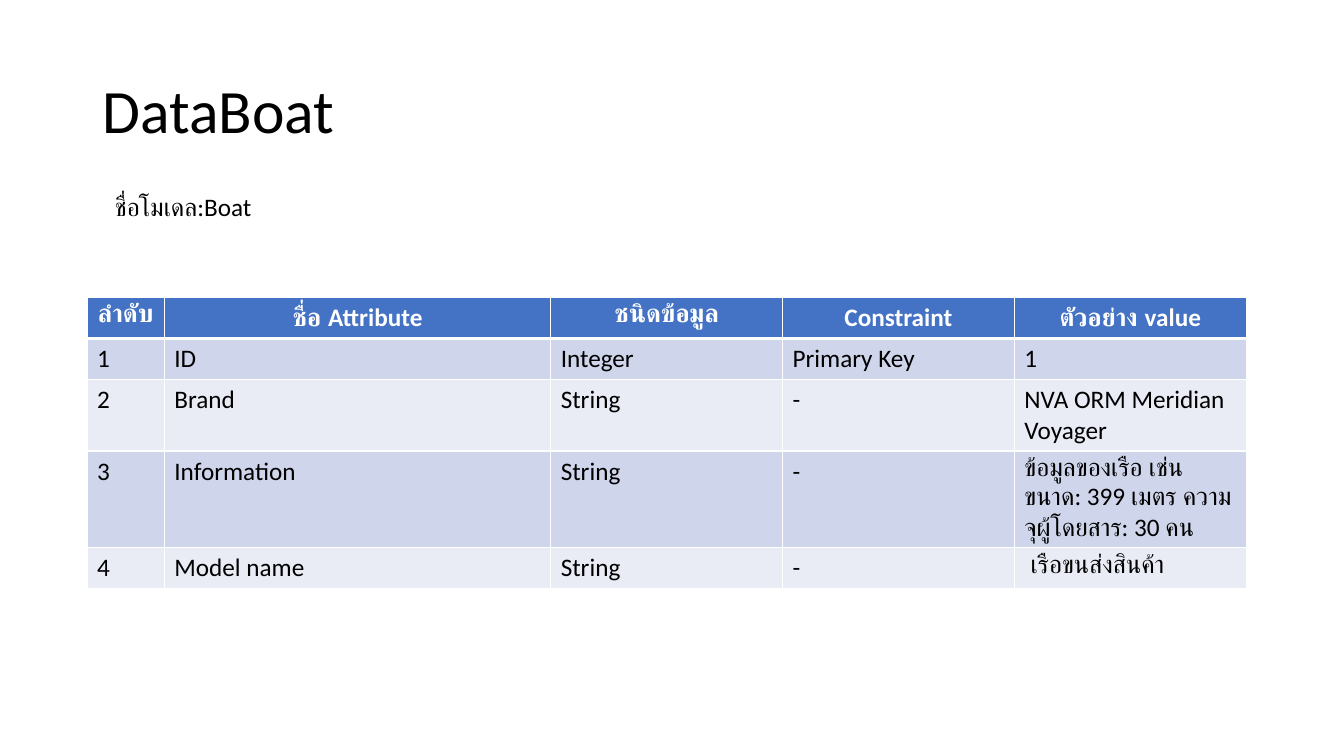
from collections import namedtuple
from lxml.etree import fromstring
from pptx import Presentation
from pptx.dml.color import RGBColor as Rgb
from pptx.enum.text import MSO_ANCHOR as Anchor, MSO_AUTO_SIZE as Auto, PP_ALIGN as Align
from pptx.util import Pt

Theme = namedtuple("Theme", "font title body ink paper head bands")
theme = Theme("Calibri", 44, 18, "000000", "FFFFFF", "4472C4", ("CFD5EA", "E9EBF5"))
SPACE = "http://schemas.openxmlformats.org/drawingml/2006/main"


def write(frame, text, size, color, bold=False, align=Align.LEFT):
    para = frame.paragraphs[0]
    para.alignment = align
    run = para.add_run()
    run.text = text
    style = {"name": theme.font, "size": Pt(size), "bold": bold}
    for key, value in style.items():
        setattr(run.font, key, value)
    run.font.color.rgb = Rgb.from_string(color)


def edge(cell, sides):
    for spot, (side, width) in enumerate(sides.items()):
        line = fromstring(
            f'<a:ln{side} xmlns:a="{SPACE}" w="{Pt(width)}"><a:solidFill>'
            f'<a:srgbClr val="{theme.paper}"/></a:solidFill></a:ln{side}>')
        cell._tc.get_or_add_tcPr().insert(spot, line)


deck = Presentation()
deck.slide_width, deck.slide_height = Pt(960), Pt(540)
slide = deck.slides.add_slide(deck.slide_layouts[5])

title = slide.shapes.title
place = {"left": 66, "top": 28.75, "width": 828, "height": 104.4}
for key, value in place.items():
    setattr(title, key, Pt(value))
title.text_frame.vertical_anchor = Anchor.MIDDLE
write(title.text_frame, "DataBoat", theme.title, theme.ink)
title.text_frame.paragraphs[0].line_spacing = 0.9

rows = [
    ("ลำดับ", "ชื่อ Attribute", "ชนิดข้อมูล", "Constraint", "ตัวอย่าง value"),
    ("1", "ID", "Integer", "Primary Key", "1"),
    ("2", "Brand", "String", "-", "NVA ORM Meridian Voyager"),
    ("3", "Information", "String", "-",
     "ข้อมูลของเรือ เช่น ขนาด: 399 เมตร ความจุผู้โดยสาร: 30 คน"),
    ("4", "Model name", "String", "-", " เรือขนส่งสินค้า"),
]
widths = (55.2, 276, 165.6, 165.6, 165.6)
high = 29.2
grid = slide.shapes.add_table(len(rows), len(widths), Pt(62.2), Pt(212.6),
                              Pt(sum(widths)), Pt(high * len(rows))).table
for col, width in zip(grid.columns, widths):
    col.width = Pt(width)

for r, words in enumerate(rows):
    grid.rows[r].height = Pt(high)
    top = r == 0
    fill = theme.head if top else theme.bands[(r - 1) % 2]
    color = theme.paper if top else theme.ink
    align = Align.CENTER if top else Align.LEFT
    sides = {"L": 1, "R": 1, "T": 3 if r == 1 else 1, "B": 3 if top else 1}
    for c, text in enumerate(words):
        cell = grid.cell(r, c)
        cell.fill.solid()
        cell.fill.fore_color.rgb = Rgb.from_string(fill)
        edge(cell, sides)
        write(cell.text_frame, text, theme.body, color, top, align)

label = slide.shapes.add_textbox(Pt(75), Pt(133.2), Pt(294.5), Pt(29.1)).text_frame
label.word_wrap = True
label.auto_size = Auto.SHAPE_TO_FIT_TEXT
write(label, "ชื่อโมเดล:Boat", theme.body, theme.ink)

deck.save("out.pptx")
